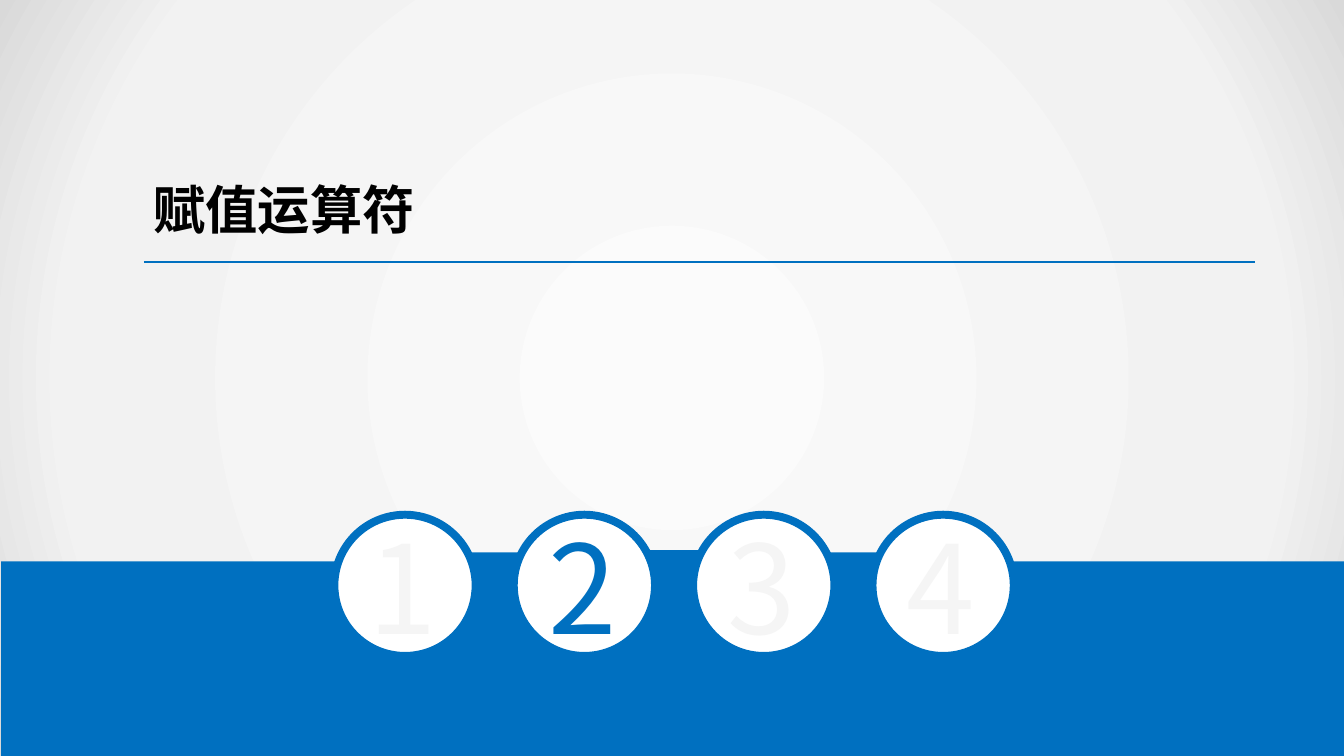
from dataclasses import dataclass
from math import cos, pi, sin

from lxml.etree import SubElement
from pptx import Presentation
from pptx.dml.color import RGBColor
from pptx.enum.shapes import MSO_CONNECTOR, MSO_SHAPE
from pptx.enum.text import MSO_ANCHOR, MSO_AUTO_SIZE, PP_ALIGN
from pptx.oxml.ns import qn
from pptx.util import Cm, Pt


@dataclass(frozen=True)
class Theme:
    accent: RGBColor = RGBColor.from_string("0070C0")
    backdrop: RGBColor = RGBColor.from_string("F2F2F2")
    glow: RGBColor = RGBColor.from_string("FBFBFB")
    edge: RGBColor = RGBColor.from_string("D9D9D9")
    disc: RGBColor = RGBColor.from_string("FFFFFF")
    muted: RGBColor = RGBColor.from_string("F5F5F5")
    ink: RGBColor = RGBColor.from_string("000000")
    font: str = "Noto Sans CJK SC"
    heading_size: Pt = Pt(28)
    number_size: Pt = Pt(66)


theme = Theme()


def paint(shape, color, outline=None, width=0):
    shape.shadow.inherit = False
    shape.fill.solid()
    shape.fill.fore_color.rgb = color
    if outline is None:
        shape.line.fill.background()
    else:
        shape.line.color.rgb = outline
        shape.line.width = Pt(width)


def style_run(run, size, color, bold=False):
    run.font.size = size
    run.font.bold = bold
    run.font.color.rgb = color
    run.font.name = theme.font
    SubElement(run.font._element, qn("a:ea"), typeface=theme.font)


deck = Presentation()
deck.slide_width = Cm(25.4)
deck.slide_height = Cm(14.29)
slide = deck.slides.add_slide(deck.slide_layouts[5])
slide.background.fill.solid()
slide.background.fill.fore_color.rgb = theme.backdrop
shapes = slide.shapes

backdrop = shapes.add_shape(MSO_SHAPE.RECTANGLE, 0, 0, deck.slide_width, deck.slide_height)
paint(backdrop, theme.backdrop)
backdrop.fill.gradient()
gradient = backdrop._element.spPr.find(qn("a:gradFill"))
stops = gradient.find(qn("a:gsLst"))
for stop in list(stops):
    stops.remove(stop)
for position, color in ((0, theme.glow), (79, theme.backdrop), (100, theme.edge)):
    stop = SubElement(stops, qn("a:gs"), pos=str(position * 1000))
    SubElement(stop, qn("a:srgbClr"), val=str(color))
gradient.remove(gradient.find(qn("a:lin")))
radial = SubElement(gradient, qn("a:path"), path="circle")
SubElement(radial, qn("a:fillToRect"), l="50000", t="50000", r="50000", b="50000")

for left, height, outline in ((12.24, 0.99, theme.accent), (15.44, 1.04, None), (8.79, 1.04, None)):
    bridge = shapes.add_shape(MSO_SHAPE.RECTANGLE, Cm(left), Cm(10.44), Cm(1.19), Cm(height))
    paint(bridge, theme.accent, outline, 2)

pitch = 3.39
band_top = 10.61
notch_radius = 0.42
arc_steps = 16
band_points = []
for index in range(3):
    center = 9.36 + index * pitch
    for step in range(arc_steps + 1):
        angle = pi * (1 - step / arc_steps)
        band_points.append((
            Cm(center + notch_radius * cos(angle)),
            Cm(band_top + notch_radius * sin(angle)),
        ))
band_left = Cm(0.02)
band_points += [
    (deck.slide_width, Cm(band_top)),
    (deck.slide_width, deck.slide_height),
    (band_left, deck.slide_height),
]
band_outline = shapes.build_freeform(band_left, Cm(band_top))
band_outline.add_line_segments(band_points, close=True)
paint(band_outline.convert_to_shape(), theme.accent)

for index in range(4):
    disc = shapes.add_shape(
        MSO_SHAPE.OVAL, Cm(6.32 + index * pitch), Cm(9.73), Cm(2.67), Cm(2.67)
    )
    paint(disc, theme.disc, theme.accent, 4.25)

heading = shapes.title
heading.left, heading.top, heading.width, heading.height = Cm(2.72), Cm(2.95), Cm(10.77), Cm(2)
shapes._spTree.append(heading._element)
heading_text = heading.text_frame
heading_text.text = "赋值运算符"
heading_text.auto_size = MSO_AUTO_SIZE.NONE
heading_text.vertical_anchor = MSO_ANCHOR.MIDDLE
heading_text.margin_left = heading_text.margin_right = Cm(0.18)
heading_text.margin_top = heading_text.margin_bottom = Cm(0.1)
heading_text.paragraphs[0].alignment = PP_ALIGN.LEFT
style_run(heading_text.paragraphs[0].runs[0], theme.heading_size, theme.ink, bold=True)

underline = shapes.add_connector(MSO_CONNECTOR.STRAIGHT, Cm(2.72), Cm(4.95), Cm(23.72), Cm(4.95))
underline.line.color.rgb = theme.accent
underline.line.width = Pt(1.25)
SubElement(underline._element.spPr, qn("a:effectLst"))

current_section = 2
for index in range(4):
    section = index + 1
    number = shapes.add_textbox(Cm(6.72 + index * pitch), Cm(9.55), Cm(1.78), Cm(3.07))
    number_text = number.text_frame
    number_text.text = str(section)
    number_text.word_wrap = False
    number_text.auto_size = MSO_AUTO_SIZE.SHAPE_TO_FIT_TEXT
    color = theme.accent if section == current_section else theme.muted
    style_run(number_text.paragraphs[0].runs[0], theme.number_size, color)

deck.save("out.pptx")
